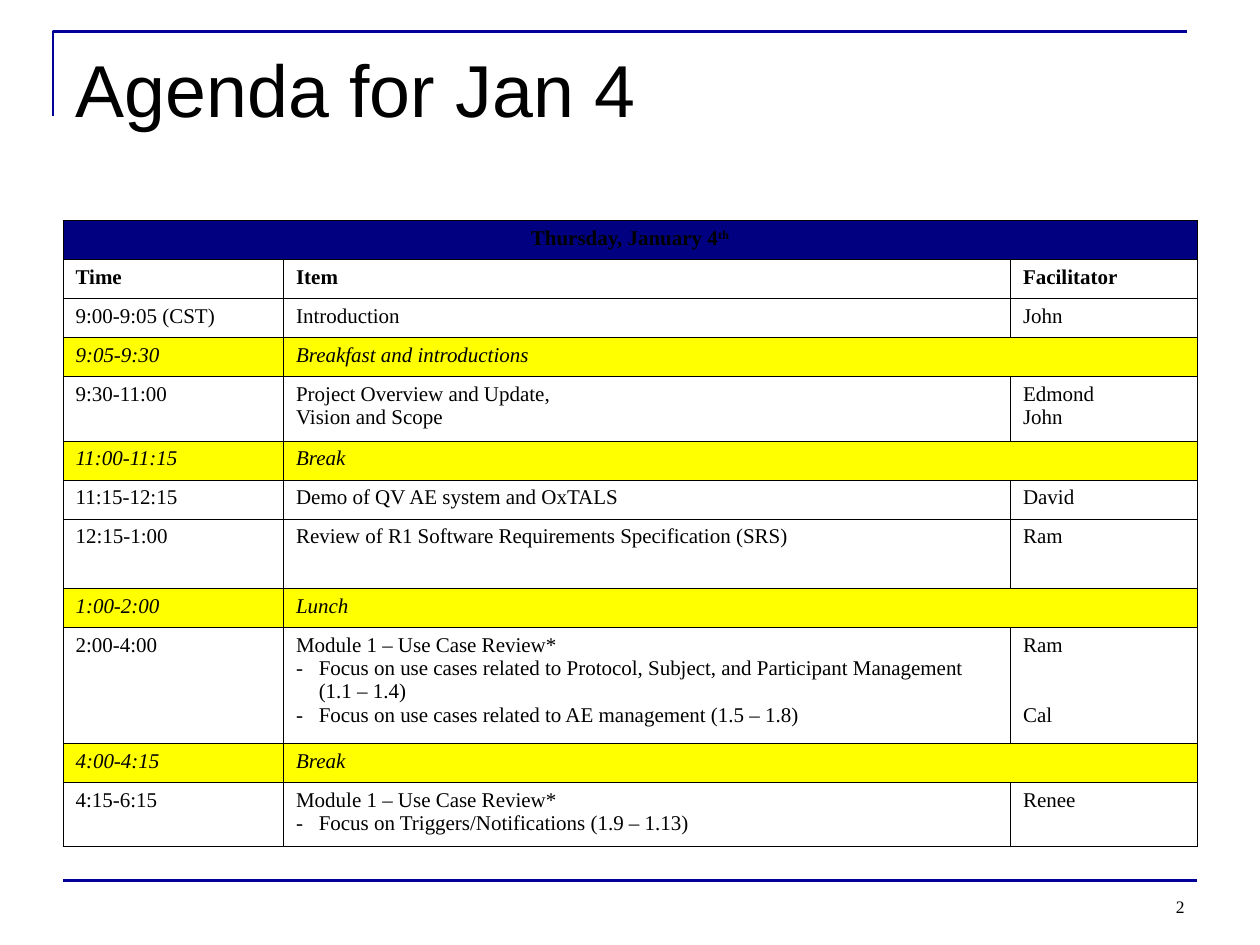
from lxml import etree
from pptx import Presentation
from pptx import util as u
from pptx.dml.color import RGBColor
from pptx.enum import shapes, text
from pptx.oxml import ns


def rgb(value):
    return RGBColor.from_string(value)


def write(paragraph, wording, color="000000", **font_format):
    run = paragraph.add_run()
    run.text = wording
    run.font.color.rgb = rgb(color)
    for attribute, value in font_format.items():
        setattr(run.font, attribute, value)
    return run


SERIF = {"name": "Times New Roman", "size": u.Pt(12)}
NAVY, YELLOW, WHITE, RULE = "000080", "FFFF00", "FFFFFF", "000099"

deck = Presentation()
deck.slide_width, deck.slide_height = u.Inches(10), u.Inches(7.5)
slide = deck.slides.add_slide(deck.slide_layouts[5])

corner_path = slide.shapes.build_freeform(u.Inches(0.42), u.Inches(0.92))
corner_path.add_line_segments(
    [(u.Inches(0.42), u.Inches(0.25)), (u.Inches(9.42), u.Inches(0.25))], close=False)
corner = corner_path.convert_to_shape()
corner.fill.background()
corner.shadow.inherit = False
footer_rule = slide.shapes.add_connector(
    shapes.MSO_CONNECTOR.STRAIGHT,
    u.Inches(0.5), u.Inches(6.99), u.Inches(9.5), u.Inches(6.99))
etree.SubElement(footer_rule._element.spPr, ns.qn("a:effectLst"))
for rule in (corner, footer_rule):
    rule.line.color.rgb = rgb(RULE)
    rule.line.width = u.Pt(1.5)

title = slide.shapes.title
title_place = {"left": 0.5, "top": 0.3, "width": 9, "height": 1.25}
for side, length in title_place.items():
    setattr(title, side, u.Inches(length))
title_frame = title.text_frame
title_format = {"vertical_anchor": text.MSO_ANCHOR.TOP, "word_wrap": True,
                "auto_size": text.MSO_AUTO_SIZE.NONE}
for attribute, value in title_format.items():
    setattr(title_frame, attribute, value)
title_frame.paragraphs[0].alignment = text.PP_ALIGN.LEFT
write(title_frame.paragraphs[0], "Agenda for Jan 4", name="Arial", size=u.Pt(42))

agenda = [
    (0.31, "header", ["Thursday, January 4"]),
    (0.31, "labels", ["Time", "Item", "Facilitator"]),
    (0.31, "session", ["9:00-9:05 (CST)", "Introduction", "John"]),
    (0.31, "pause", ["9:05-9:30", "Breakfast and introductions"]),
    (0.51, "session", ["9:30-11:00", "Project Overview and Update,\nVision and Scope",
                       "Edmond\nJohn"]),
    (0.31, "pause", ["11:00-11:15", "Break"]),
    (0.31, "session", ["11:15-12:15", "Demo of QV AE system and OxTALS", "David"]),
    (0.55, "session", ["12:15-1:00",
                       "Review of R1 Software Requirements Specification (SRS)", "Ram"]),
    (0.31, "pause", ["1:00-2:00", "Lunch"]),
    (0.92, "session", [
        "2:00-4:00",
        "Module 1 – Use Case Review*\n"
        "- Focus on use cases related to Protocol, Subject, and Participant Management "
        "(1.1 – 1.4)\n"
        "- Focus on use cases related to AE management (1.5 – 1.8)",
        "Ram\nCal"]),
    (0.31, "pause", ["4:00-4:15", "Break"]),
    (0.51, "session", ["4:15-6:15",
                       "Module 1 – Use Case Review*\n- Focus on Triggers/Notifications (1.9 – 1.13)",
                       "Renee"]),
]
fills = {"header": NAVY, "pause": YELLOW}

schedule = slide.shapes.add_table(
    len(agenda), 3, u.Inches(0.5), u.Inches(1.75), u.Inches(9), u.Inches(4.95)).table
schedule.first_row = schedule.horz_banding = False
for column, width in zip(schedule.columns, (1.75, 5.77, 1.48)):
    column.width = u.Inches(width)

for row, (height, kind, entries) in enumerate(agenda):
    schedule.rows[row].height = u.Inches(height)
    for cell in schedule.rows[row].cells:
        cell_properties = cell._tc.get_or_add_tcPr()
        for edge in ("a:lnL", "a:lnR", "a:lnT", "a:lnB"):
            border = etree.SubElement(cell_properties, ns.qn(edge), w=str(u.Pt(0.45)))
            border_fill = etree.SubElement(border, ns.qn("a:solidFill"))
            etree.SubElement(border_fill, ns.qn("a:srgbClr"), val="000000")
        cell.fill.solid()
        cell.fill.fore_color.rgb = rgb(fills.get(kind, WHITE))
    if len(entries) < 3:
        schedule.cell(row, len(entries) - 1).merge(schedule.cell(row, 2))
    for column, entry in enumerate(entries):
        frame = schedule.cell(row, column).text_frame
        for number, wording in enumerate(entry.split("\n")):
            paragraph = frame.add_paragraph() if number else frame.paragraphs[0]
            if wording.startswith("- "):
                wording = wording[2:]
                properties = paragraph._p.get_or_add_pPr()
                properties.set("marL", str(u.Inches(0.18)))
                properties.set("indent", str(-u.Inches(0.18)))
                etree.SubElement(properties, ns.qn("a:buFont"), typeface=SERIF["name"])
                etree.SubElement(properties, ns.qn("a:buChar"), char="-")
            if wording == "Cal":
                paragraph.space_before = u.Pt(27)
            write(paragraph, wording, bold=kind in ("header", "labels"),
                  italic=kind == "pause", **SERIF)

heading = schedule.cell(0, 0).text_frame.paragraphs[0]
heading.alignment = text.PP_ALIGN.CENTER
ordinal = write(heading, "th", bold=True, **SERIF)
ordinal.font._element.set("baseline", "30000")

page_number = slide.shapes.add_textbox(
    u.Inches(7.17), u.Inches(6.83), u.Inches(2.33), u.Inches(0.5)).text_frame
page_number.word_wrap = True
page_number.vertical_anchor = text.MSO_ANCHOR.BOTTOM
page_number.paragraphs[0].alignment = text.PP_ALIGN.RIGHT
write(page_number.paragraphs[0], "2", name="Times New Roman", size=u.Pt(10))

deck.save("out.pptx")
